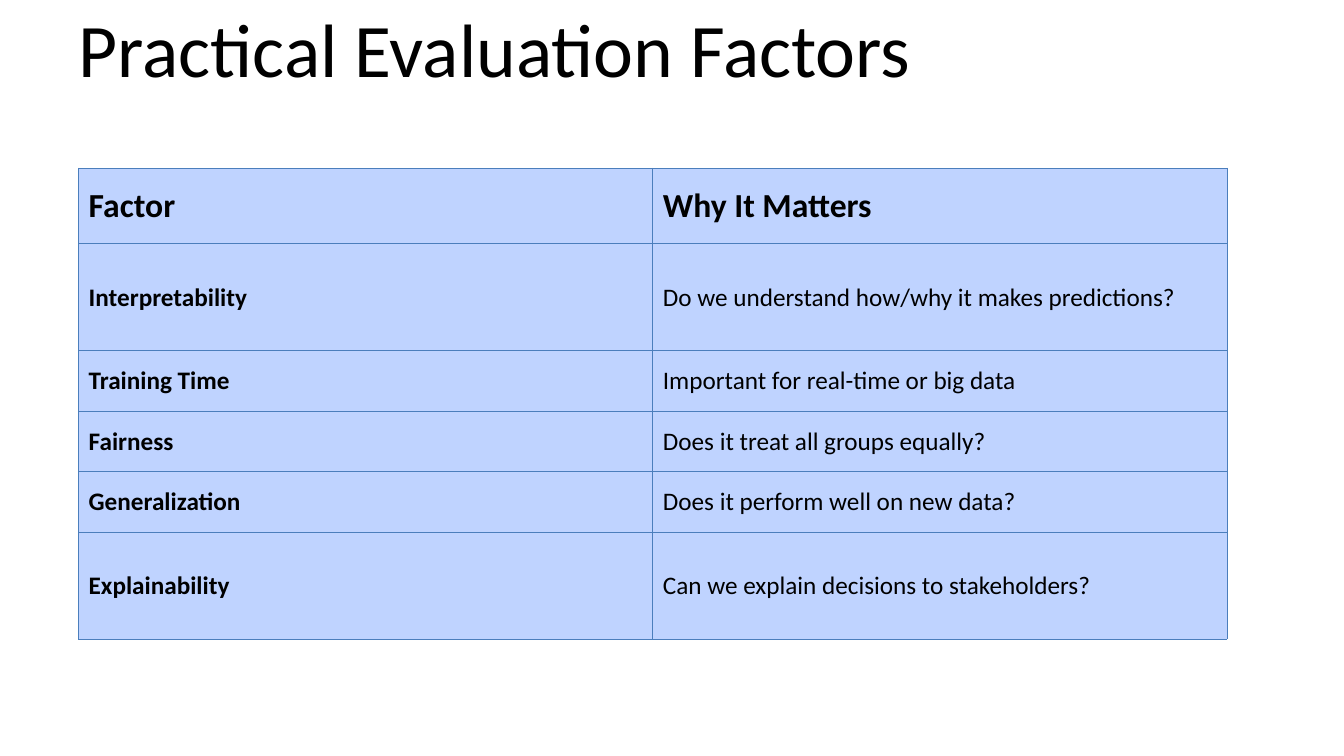
"""Build the slide of practical evaluation factors as a title and a two-column table."""
import pptx
import pptx.dml.color
import pptx.enum.text
import pptx.oxml
import pptx.oxml.ns
import pptx.util

FACTORS = [
    ("Factor", "Why It Matters", 0.75),
    ("Interpretability", "Do we understand how/why it makes predictions?", 1.06),
    ("Training Time", "Important for real-time or big data", 0.6),
    ("Fairness", "Does it treat all groups equally?", 0.6),
    ("Generalization", "Does it perform well on new data?", 0.6),
    ("Explainability", "Can we explain decisions to stakeholders?", 1.06),
]
LEFT = pptx.util.Inches(0.78)
TABLE_WIDTH = pptx.util.Inches(11.39)
BORDER = (
    '<a:{side} {namespace} w="9525"><a:solidFill><a:srgbClr val="4B7EBC"/>'
    "</a:solidFill></a:{side}>"
)


def color(hex_string):
    return pptx.dml.color.RGBColor.from_string(hex_string)


def add_run(paragraph, text, size, bold=False):
    run = paragraph.add_run()
    run.text = text
    run.font.name = "Calibri"
    run.font.size = pptx.util.Pt(size)
    run.font.bold = bold
    run.font.color.rgb = color("000000")


presentation = pptx.Presentation()
presentation.slide_width = pptx.util.Inches(13.33)
presentation.slide_height = pptx.util.Inches(7.5)
slide = presentation.slides.add_slide(presentation.slide_layouts.get_by_name("Title Only"))

title = slide.shapes.title
title.left, title.top = LEFT, pptx.util.Inches(0.02)
title.width, title.height = pptx.util.Inches(11.78), pptx.util.Inches(0.91)
frame = title.text_frame
frame.margin_left = frame.margin_top = frame.margin_right = frame.margin_bottom = 0
frame.vertical_anchor = pptx.enum.text.MSO_ANCHOR.TOP
frame.auto_size = pptx.enum.text.MSO_AUTO_SIZE.SHAPE_TO_FIT_TEXT
frame.paragraphs[0].alignment = pptx.enum.text.PP_ALIGN.LEFT
add_run(frame.paragraphs[0], "Practical Evaluation Factors", 54)

table_height = pptx.util.Inches(sum(height for _, _, height in FACTORS))
table = slide.shapes.add_table(
    len(FACTORS), 2, LEFT, pptx.util.Inches(1.67), TABLE_WIDTH, table_height
).table
table.first_row = False
table.horz_banding = False

for row_index, (factor, reason, height) in enumerate(FACTORS):
    table.rows[row_index].height = pptx.util.Inches(height)
    is_header = row_index == 0
    for column_index, text in enumerate((factor, reason)):
        cell = table.cell(row_index, column_index)
        cell.vertical_anchor = pptx.enum.text.MSO_ANCHOR.MIDDLE
        properties = cell._tc.get_or_add_tcPr()
        for side in ("lnL", "lnR", "lnT", "lnB"):
            border = BORDER.format(side=side, namespace=pptx.oxml.ns.nsdecls("a"))
            properties.append(pptx.oxml.parse_xml(border))
        cell.fill.solid()
        cell.fill.fore_color.rgb = color("BFD3FF")
        add_run(
            cell.text_frame.paragraphs[0],
            text,
            24 if is_header else 18,
            bold=is_header or column_index == 0,
        )

presentation.save("out.pptx")
